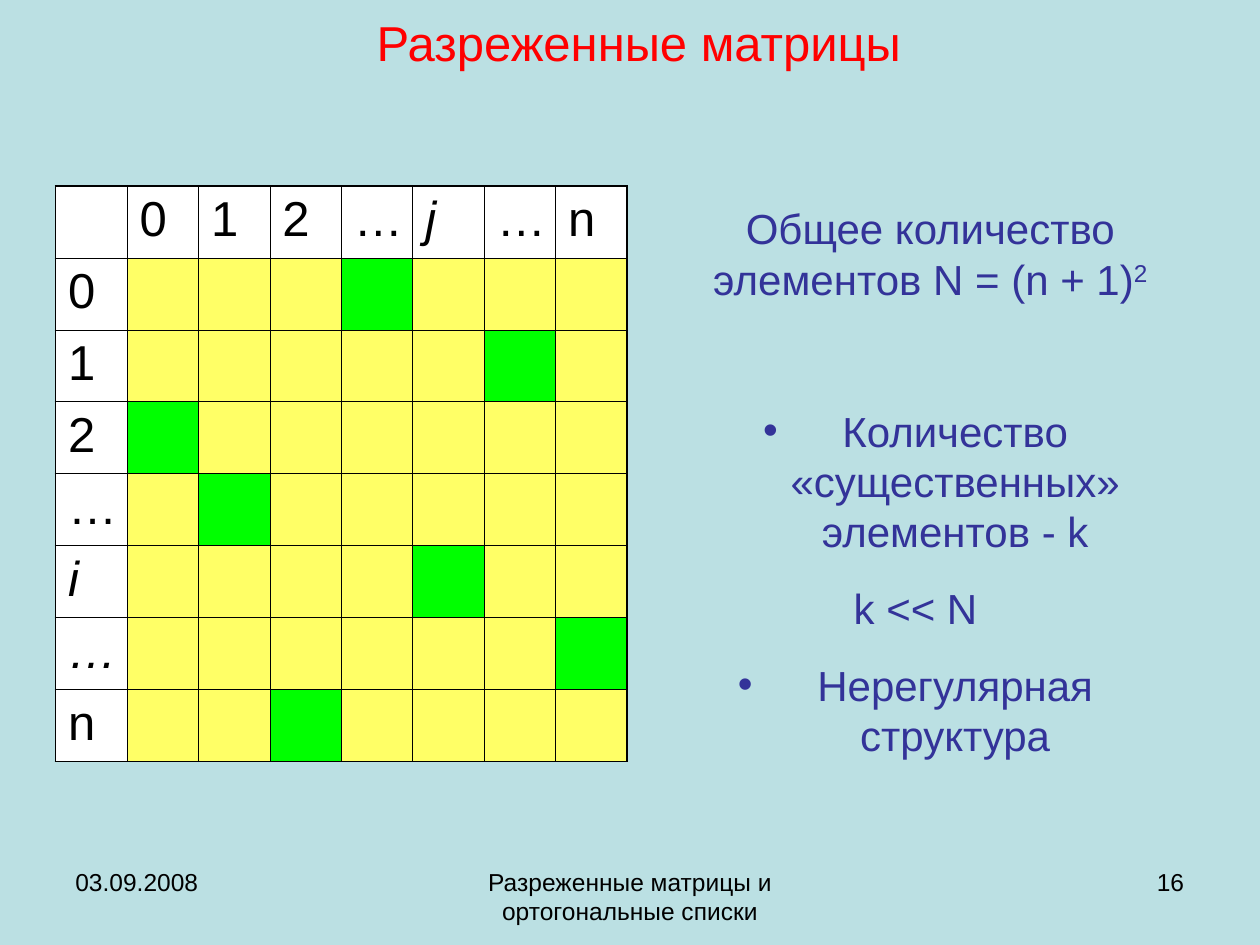
from dataclasses import dataclass

import pptx
import pptx.dml.color
import pptx.enum.text
import pptx.oxml.ns
import pptx.util
from lxml import etree

Cm, Pt = pptx.util.Cm, pptx.util.Pt
RGB = pptx.dml.color.RGBColor.from_string
ALIGN = pptx.enum.text.PP_ALIGN
ANCHOR = pptx.enum.text.MSO_ANCHOR


@dataclass(frozen=True)
class Theme:
    font: str = "Arial"
    background: str = "BBE0E3"
    title: str = "FF0000"
    body: str = "333399"
    ink: str = "000000"
    header: str = "FFFFFF"
    empty: str = "FFFF66"
    filled: str = "00FF00"
    title_size: int = 28
    cell_size: int = 28
    body_size: int = 24
    footer_size: int = 14


theme = Theme()


def format_text(p, size, color, align=ALIGN.LEFT):
    p.alignment = align
    for r in p.runs:
        r.font.name = theme.font
        r.font.size = Pt(size)
        r.font.color.rgb = RGB(color)


def add_border(cell, side, width):
    """Draw one cell edge; side is L, R, T or B."""
    tag = pptx.oxml.ns.qn
    ln = etree.SubElement(cell._tc.get_or_add_tcPr(), tag("a:ln" + side), w=str(Pt(width)))
    fill = etree.SubElement(ln, tag("a:solidFill"))
    etree.SubElement(fill, tag("a:srgbClr"), val=theme.ink)


prs = pptx.Presentation()
prs.slide_width, prs.slide_height = Cm(25.4), Cm(19.05)
s = prs.slides.add_slide(prs.slide_layouts[1])
s.background.fill.solid()
s.background.fill.fore_color.rgb = RGB(theme.background)

# Title
title = s.shapes.title
title.left, title.top, title.width, title.height = Cm(1.47), Cm(0.43), Cm(22.86), Cm(0.84)
tf = title.text_frame
tf.text = "Разреженные матрицы"
tf.auto_size = pptx.enum.text.MSO_AUTO_SIZE.NONE
tf.vertical_anchor = ANCHOR.MIDDLE
tf.margin_left, tf.margin_right = Cm(0.05), Cm(0.1)
tf.margin_top = tf.margin_bottom = Cm(0.03)
format_text(tf.paragraphs[0], theme.title_size, theme.title, ALIGN.CENTER)

# Sparse matrix: index labels in the first row and column
column_labels = ["", "0", "1", "2", "…", "j", "…", "n"]
row_labels = ["", "0", "1", "2", "…", "i", "…", "n"]
italic_cells = {(0, 5), (5, 0), (6, 0)}
filled_cells = {(1, 4), (2, 6), (3, 1), (4, 2), (5, 5), (6, 7), (7, 3)}
n = len(row_labels)
col_width, row_height = Cm(1.44), Cm(1.45)
table = s.shapes.add_table(n, n, Cm(1.12), Cm(3.75), n * col_width, n * row_height).table
table.first_row = table.horz_banding = False
for column in table.columns:
    column.width = col_width
for row in range(n):
    for col in range(n):
        cell = table.cell(row, col)
        outer = {"L": col == 0, "R": col == n - 1, "T": row == 0, "B": row == n - 1}
        for side, is_outer in outer.items():
            add_border(cell, side, 1.08 if is_outer else 0.45)
        is_label = row == 0 or col == 0
        color = theme.filled if (row, col) in filled_cells else theme.empty
        cell.fill.solid()
        cell.fill.fore_color.rgb = RGB(theme.header if is_label else color)
        if is_label and (row or col):
            cell.text_frame.text = column_labels[col] if row == 0 else row_labels[row]
            p = cell.text_frame.paragraphs[0]
            format_text(p, theme.cell_size, theme.ink)
            p.runs[0].font.italic = (row, col) in italic_cells

# Properties: text, bulleted, space before in points
properties = [
    ("Общее количество элементов N = (n + 1)", False, 0),
    ("Количество «существенных» элементов - k", True, 58),
    ("k << N", False, 15),
    ("Нерегулярная структура", True, 15),
]
body = s.placeholders[1]
body.left, body.top, body.width, body.height = Cm(13.08), Cm(3.96), Cm(11.35), Cm(12.04)
tf = body.text_frame
tf.auto_size = pptx.enum.text.MSO_AUTO_SIZE.NONE
tf.vertical_anchor = ANCHOR.TOP
for i, (text, bulleted, space) in enumerate(properties):
    p = tf.paragraphs[0] if i == 0 else tf.add_paragraph()
    p.text = text
    p.space_before = Pt(space)
    pPr = p._p.get_or_add_pPr()
    hang = Cm(1.6) if bulleted else 0
    pPr.set("marL", str(hang))
    pPr.set("indent", str(-hang))
    if bulleted:
        pPr.set("marR", str(Cm(0.6)))
        etree.SubElement(pPr, pptx.oxml.ns.qn("a:buChar"), char="•")
    else:
        etree.SubElement(pPr, pptx.oxml.ns.qn("a:buNone"))
    if i == 0:
        exponent = p.add_run()
        exponent.text = "2"
        exponent.font._element.set("baseline", "30000")
    format_text(p, theme.body_size, theme.body, ALIGN.CENTER)

# Footer
footer = [
    ("03.09.2008", 1.27, 5.92, ALIGN.LEFT),
    ("Разреженные матрицы и ортогональные списки", 8.68, 8.04, ALIGN.CENTER),
    ("16", 18.2, 5.92, ALIGN.RIGHT),
]
for text, left, width, align in footer:
    tf = s.shapes.add_textbox(Cm(left), Cm(17.35), Cm(width), Cm(1.32)).text_frame
    tf.word_wrap = True
    tf.text = text
    format_text(tf.paragraphs[0], theme.footer_size, theme.ink, align)

prs.save("out.pptx")
